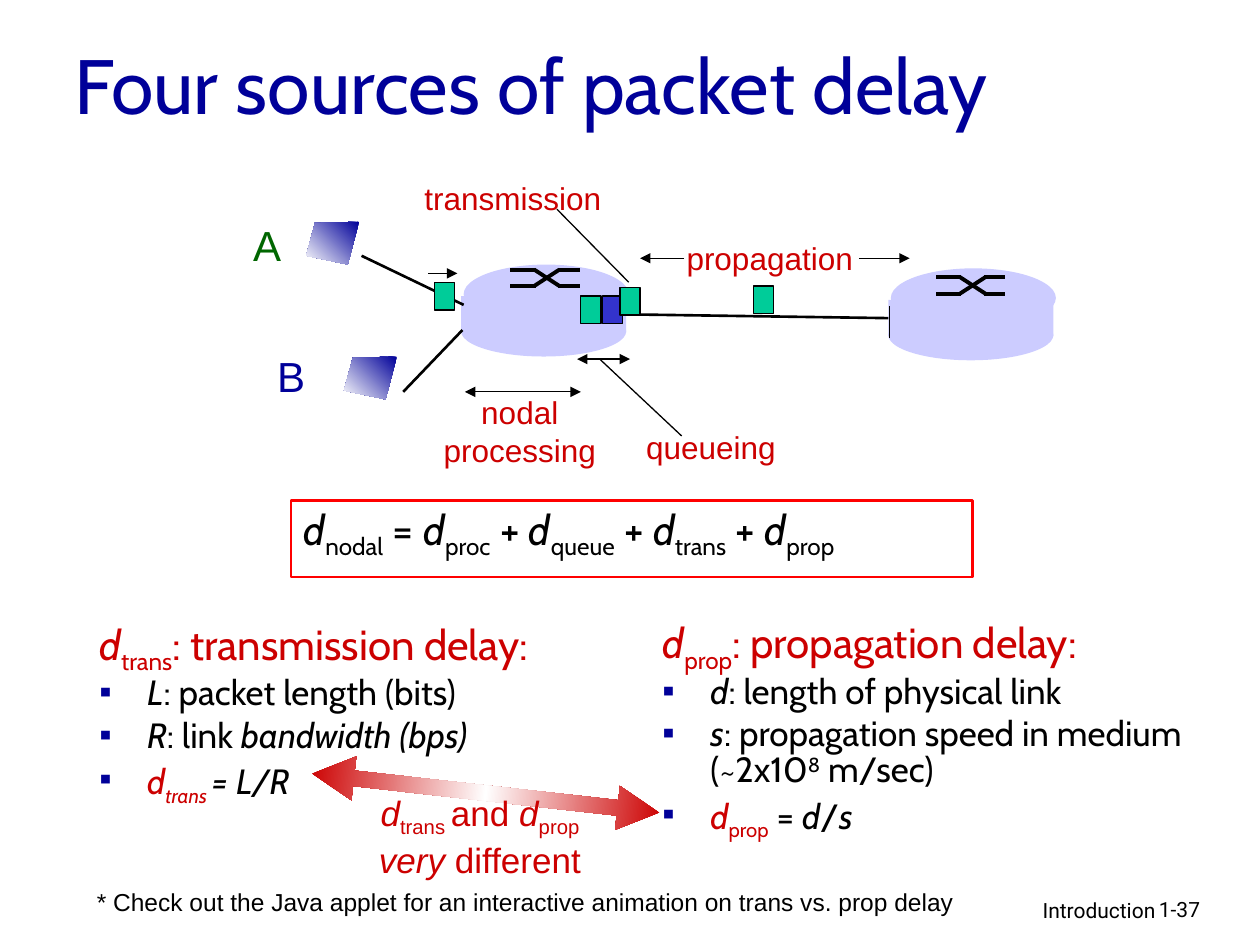
from dataclasses import dataclass

from lxml.etree import SubElement
from copy import deepcopy
from pptx import Presentation
from pptx.dml.color import RGBColor
from pptx.enum.shapes import MSO_CONNECTOR, MSO_SHAPE
from pptx.enum.text import MSO_ANCHOR, PP_ALIGN
from pptx.oxml.ns import qn
from pptx.slide import Slide
from pptx.util import Inches, Pt

NAVY = RGBColor(0x00, 0x00, 0x99)
RED = RGBColor(0xCC, 0x00, 0x00)
FRAME_RED = RGBColor(0xFF, 0x00, 0x00)
DARK_GREEN = RGBColor(0x00, 0x66, 0x00)
PACKET_GREEN = RGBColor(0x00, 0xCC, 0x99)
PACKET_BLUE = RGBColor(0x33, 0x33, 0xCC)
LAVENDER = RGBColor(0xCC, 0xCC, 0xFF)
BLACK = RGBColor(0x00, 0x00, 0x00)
WHITE = RGBColor(0xFF, 0xFF, 0xFF)
BASELINES = {"sub": "-25000", "super": "30000"}


@dataclass
class DelaySlide:
    """Draws the elements of the packet delay slide in one style."""

    slide: Slide
    heading_font: str = "Cabin"
    label_font: str = "Arial"
    footer_font: str = "Roboto"

    def title(self, text, left, top, width, height):
        title = self.slide.shapes.title
        title.left, title.top = Inches(left), Inches(top)
        title.width, title.height = Inches(width), Inches(height)
        title.text_frame.vertical_anchor = MSO_ANCHOR.MIDDLE
        self.paragraph(title.text_frame, 0, [(text,)], 44, NAVY, self.heading_font)

    def paragraph(self, frame, index, runs, size, color, font,
                  align=PP_ALIGN.LEFT, bullet=False):
        paragraph = frame.paragraphs[0] if index == 0 else frame.add_paragraph()
        if bullet:
            properties = paragraph._p.get_or_add_pPr()
            properties.set("marL", str(Inches(0.38)))
            properties.set("indent", str(-Inches(0.38)))
            bullet_color = SubElement(properties, qn("a:buClr"))
            SubElement(bullet_color, qn("a:srgbClr"), val=str(NAVY))
            SubElement(properties, qn("a:buFont"), typeface=self.label_font)
            SubElement(properties, qn("a:buChar"), char="▪")
        paragraph.alignment = align
        paragraph.font.name, paragraph.font.size = font, Pt(size)
        paragraph.font.color.rgb = color
        for text, *marks in runs:
            run = paragraph.add_run()
            run.text = text
            for mark in marks:
                if mark == "italic":
                    run.font.italic = True
                elif mark in BASELINES:
                    run._r.get_or_add_rPr().set("baseline", BASELINES[mark])
                else:
                    run.font.color.rgb = mark
        return paragraph

    def label(self, lines, left, top, width, height, size=18, color=RED,
              font=None, align=PP_ALIGN.LEFT, wrap=False):
        box = self.slide.shapes.add_textbox(
            Inches(left), Inches(top), Inches(width), Inches(height))
        box.text_frame.word_wrap = wrap
        for index, runs in enumerate(lines):
            self.paragraph(box.text_frame, index, runs, size, color,
                           font or self.label_font, align)

    def definition(self, heading, bullets, left, top, width, height):
        box = self.slide.shapes.add_textbox(
            Inches(left), Inches(top), Inches(width), Inches(height))
        frame = box.text_frame
        frame.word_wrap = True
        self.paragraph(frame, 0, heading, 24, RED, self.heading_font).line_spacing = 0.85
        for index, runs in enumerate(bullets, 1):
            item = self.paragraph(frame, index, runs, 20, BLACK,
                                  self.heading_font, bullet=True)
            item.line_spacing, item.space_before = 0.85, Pt(4)

    def formula(self, runs, left, top, width, height):
        frame = self.shape(MSO_SHAPE.RECTANGLE, left, top, width, height,
                           outline=FRAME_RED, weight=1.5).text_frame
        frame.vertical_anchor = MSO_ANCHOR.TOP
        frame.word_wrap = True
        self.paragraph(frame, 0, runs, 24, BLACK, self.heading_font).line_spacing = 0.85

    def shape(self, kind, left, top, width, height, fill=None, outline=None, weight=0.75):
        shape = self.slide.shapes.add_shape(
            kind, Inches(left), Inches(top), Inches(width), Inches(height))
        shape.shadow.inherit = False
        if fill is None:
            shape.fill.background()
        else:
            shape.fill.solid()
            shape.fill.fore_color.rgb = fill
        if outline is None:
            shape.line.fill.background()
        else:
            shape.line.color.rgb, shape.line.width = outline, Pt(weight)
        return shape

    def gradient(self, shape, colors, angle):
        shape.fill.gradient()
        shape.fill.gradient_angle = angle
        stop_list = shape.fill._xPr.find(qn("a:gradFill")).find(qn("a:gsLst"))
        for _ in colors[2:]:
            stop_list.append(deepcopy(stop_list[0]))
        for index, (stop, color) in enumerate(zip(shape.fill.gradient_stops, colors)):
            stop.color.rgb = color
            stop.position = index / (len(colors) - 1)

    def line(self, start, end, weight=0.75, arrows=(), parent=None):
        connector = (parent or self.slide).shapes.add_connector(
            MSO_CONNECTOR.STRAIGHT, *map(Inches, start + end))
        connector.line.color.rgb, connector.line.width = BLACK, Pt(weight)
        outline = connector.line._get_or_add_ln()
        for arrow in arrows:
            SubElement(outline, qn(f"a:{arrow}End"), type="triangle")
        SubElement(connector._element.spPr, qn("a:effectLst"))
        return connector

    def router(self, left, top):
        self.shape(MSO_SHAPE.OVAL, left, top + 0.33, 1.31, 0.4, LAVENDER)
        body = self.shape(MSO_SHAPE.RECTANGLE, left, top + 0.25, 1.31, 0.29, LAVENDER)
        self.shape(MSO_SHAPE.OVAL, left + 0.02, top, 1.31, 0.47, LAVENDER)
        return body

    def crossing(self, left, top):
        group = self.slide.shapes.add_group_shape()
        for near, far in ((top, top + 0.13), (top + 0.13, top)):
            for x1, y1, x2, y2 in ((0, near, 0.2, near), (0.38, far, 0.55, far),
                                   (0.19, near, 0.39, far)):
                self.line((left + x1, y1), (left + x2, y2), 2.25, parent=group)

    def packet(self, left, top, fill=PACKET_GREEN):
        self.shape(MSO_SHAPE.RECTANGLE, left, top, 0.16, 0.22, fill, BLACK)

    def host(self, left, top):
        builder = self.slide.shapes.build_freeform(Inches(left + 0.42), Inches(top), scale=1.0)
        builder.add_line_segments(
            [(Inches(left + x), Inches(top + y))
             for x, y in ((0.07, 0.01), (0, 0.27), (0.33, 0.34))], close=True)
        host = builder.convert_to_shape()
        host.shadow.inherit = False
        host.line.fill.background()
        self.gradient(host, (NAVY, WHITE), 225)

    def difference_arrow(self, left, top, width, height):
        arrow = self.shape(MSO_SHAPE.LEFT_RIGHT_ARROW, left, top, width, height)
        arrow.rotation = 6.4
        arrow.adjustments[0], arrow.adjustments[1] = 0.353, 0.95
        self.gradient(arrow, (RED, WHITE, RED), 0)


def main():
    deck = Presentation()
    deck.slide_width, deck.slide_height = Inches(10), Inches(7.5)
    page = DelaySlide(deck.slides.add_slide(deck.slide_layouts[5]))
    page.title("Four sources of packet delay", 0.49, 0.22, 8.5, 0.89)

    page.definition(
        [("d", "italic"), ("trans", "sub"), (": transmission delay:",)],
        [[("L", "italic"), (": packet length (bits)",)],
         [("R", "italic"), (": link ",), ("bandwidth (bps)", "italic")],
         [("d", "italic", RED), ("trans ", "italic", "sub", RED), ("= L/R", "italic")]],
        0.69, 4.88, 4.17, 2.27)
    page.definition(
        [("d", "italic"), ("prop", "sub"), (": propagation delay:",)],
        [[("d", "italic"), (": length of physical link",)],
         [("s", "italic"), (": propagation speed in medium (~2x10",),
          ("8", "super"), (" m/sec)",)],
         [("d", "italic", RED), ("prop", "sub", RED), (" = ",),
          ("d", "italic"), ("/",), ("s", "italic")]],
        5.16, 4.87, 4.54, 2.4)
    page.difference_arrow(2.47, 6.12, 2.77, 0.35)
    page.label([[("d", "italic"), ("trans ", "sub"), ("and ",), ("d", "italic"), ("prop", "sub")],
                [("very ", "italic"), ("different",)]],
               2.66, 6.23, 2.3, 0.77, 20, align=PP_ALIGN.CENTER, wrap=True)

    near_router = page.router(3.66, 2.1)
    page.crossing(4.05, 2.14)
    far_router = page.router(7.05, 2.13)
    page.line((7.06, 2.43), (7.06, 2.68), 1)
    page.crossing(7.43, 2.2)
    link = page.line((4.97, 2.49), (7.09, 2.5), 1.5)
    link.begin_connect(near_router, 3)
    link.end_connect(far_router, 1)

    page.line((2.87, 2.03), (3.68, 2.42), 1.5)
    page.line((3.2, 3.11), (3.67, 2.62), 1.5)
    page.packet(5.98, 2.27)
    page.packet(4.61, 2.35)
    page.packet(4.78, 2.35, PACKET_BLUE)
    page.packet(4.92, 2.28)
    page.packet(3.45, 2.24)
    page.host(2.43, 1.76)
    page.host(2.73, 2.83)
    page.label([[("A",)]], 1.91, 1.69, 0.42, 0.5, 24, DARK_GREEN)
    page.label([[("B",)]], 2.1, 2.73, 0.42, 0.5, 24, NAVY)

    for start, end in (((6.82, 2.05), (7.22, 2.05)), ((5.43, 2.05), (5.08, 2.05)),
                       ((3.4, 2.17), (3.63, 2.17))):
        page.line(start, end, arrows=("tail",))
    for start, end in (((4.61, 3.11), (3.69, 3.11)), ((5, 2.85), (4.58, 2.85))):
        page.line(start, end, arrows=("head", "tail"))
    page.line((5.41, 3.46), (4.76, 2.85))
    page.line((4.42, 1.66), (4.99, 2.24))
    page.label([[("transmission",)]], 3.27, 1.37, 1.6, 0.4)
    page.label([[("propagation",)]], 5.35, 1.85, 1.52, 0.4)
    page.label([[("queueing",)]], 5.03, 3.35, 1.23, 0.4)
    page.label([[("nodal",)], [("processing",)]], 3.42, 3.07, 1.41, 0.7, align=PP_ALIGN.CENTER)

    terms = [("d", "italic"), ("nodal", "sub"), (" = ",), ("d", "italic"), ("proc", "sub")]
    for source in ("queue", "trans", "prop"):
        terms += [(" + ",), ("d", "italic"), (source, "sub")]
    page.formula(terms, 2.31, 3.97, 5.41, 0.61)

    page.label([[("* Check out the Java applet for an interactive animation on trans vs. prop delay",)]],
               0.67, 6.99, 7.03, 0.34, 14, BLACK)
    page.label([[("Introduction",)]], 6.1, 7.07, 3.17, 0.31, 12, BLACK,
               page.footer_font, PP_ALIGN.RIGHT, wrap=True)
    page.label([[("1-37",)]], 9.1, 7.07, 0.74, 0.3, 12, BLACK, page.footer_font, wrap=True)
    deck.save("out.pptx")


if __name__ == "__main__":
    main()
